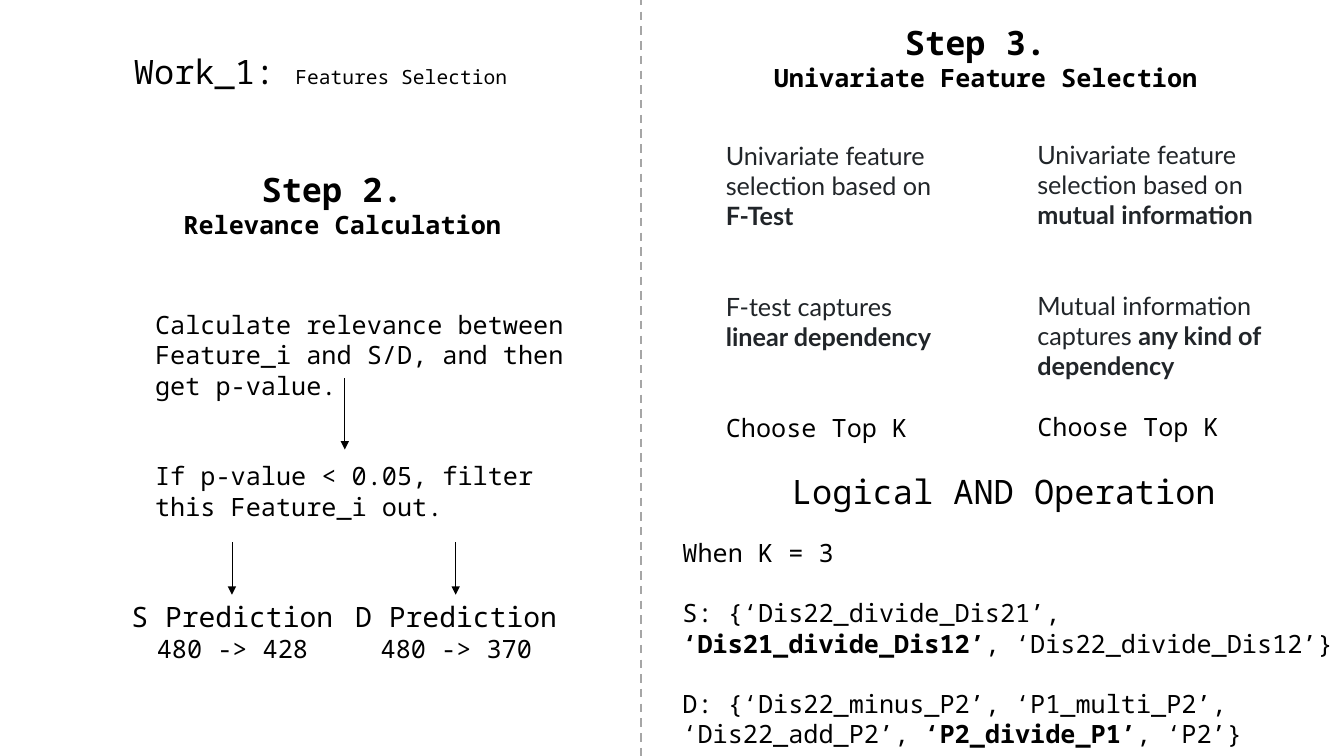
"""Build the feature selection slide with steps 2 and 3."""
from lxml import etree
from pptx import Presentation
from pptx.dml.color import RGBColor
from pptx.enum.dml import MSO_LINE
from pptx.enum.shapes import MSO_CONNECTOR
from pptx.enum.text import MSO_ANCHOR, PP_ALIGN
from pptx.oxml.ns import qn
from pptx.util import Inches, Pt

LEFT, CENTER = PP_ALIGN.LEFT, PP_ALIGN.CENTER
TOP = MSO_ANCHOR.TOP
STRAIGHT = MSO_CONNECTOR.STRAIGHT
DASH = MSO_LINE.DASH


def rgb(value):
    return RGBColor.from_string(value)


class Deck:
    MONO, SANS = "Noto Sans Mono", "Lato"
    BLACK, INK, GREY = "000000", "212529", "A6A6A6"
    BODY, TITLE = 18, 24
    LEADING = 1.2

    def __init__(self, prs):
        self.slide = prs.slides.add_slide(prs.slide_layouts[6])

    def box(self, x, y, w, h):
        s = self.slide.shapes.add_textbox(Inches(x), Inches(y), Inches(w), Inches(h))
        tf = s.text_frame
        tf.word_wrap = True
        tf.vertical_anchor = TOP
        return tf

    def para(self, tf, text, size=BODY, gap=0, font=MONO, color=BLACK, align=LEFT, bold=False):
        p = tf.paragraphs[0]
        if p.runs:
            p = tf.add_paragraph()
        p.alignment = align
        p.line_spacing = Pt(size * self.LEADING)
        p.space_before = Pt(gap * self.BODY * self.LEADING)
        p.font.name, p.font.size = font, Pt(size)
        p.font.color.rgb = rgb(color)
        p.font.bold = bold
        for i, part in enumerate(text.split("*")):
            if part:
                r = p.add_run()
                r.text = part
                if i % 2:
                    r.font.bold = True
        return p

    def heading(self, x, y, w, h, title, subtitle, size=TITLE, bold=True):
        tf = self.box(x, y, w, h)
        self.para(tf, title, size, align=CENTER, bold=bold)
        self.para(tf, subtitle, align=CENTER, bold=bold)

    def method(self, x, y, w, basis, capture, gap):
        tf = self.box(x, y, w, 3.13)
        self.para(tf, f"Univariate feature selection based on *{basis}*", font=self.SANS, color=self.INK)
        for i, line in enumerate(capture):
            self.para(tf, line, gap=0 if i else 2, font=self.SANS, color=self.INK)
        self.para(tf, "Choose Top K", gap=gap)

    def line(self, x, y1, y2, color=BLACK, width=0.5):
        c = self.slide.shapes.add_connector(STRAIGHT, Inches(x), Inches(y1), Inches(x), Inches(y2))
        c.line.color.rgb = rgb(color)
        c.line.width = Pt(width)
        etree.SubElement(c._element.spPr, qn("a:effectLst"))
        return c

    def arrow(self, x, y1, y2):
        c = self.line(x, y1, y2)
        etree.SubElement(c.line._get_or_add_ln(), qn("a:tailEnd"), type="triangle")

    def divider(self, x, y1, y2):
        self.line(x, y1, y2, self.GREY, 1.5).line.dash_style = DASH


def main():
    prs = Presentation()
    prs.slide_width, prs.slide_height = Inches(13.33), Inches(7.5)
    d = Deck(prs)

    p = d.para(d.box(1.23, 0.46, 6.49, 0.5), "Work_1: ", d.TITLE)
    r = p.add_run()
    r.text = "Features Selection"
    r.font.size = Pt(14)

    d.method(7.1, 1.34, 2.32, "F-Test", ["F-test captures", "*linear dependency*"], 2)
    d.method(10.19, 1.33, 2.57, "mutual information",
             ["Mutual information captures *any kind of dependency*"], 1)
    d.para(d.box(7.1, 4.62, 5.71, 0.5), "Logical AND Operation", d.TITLE, align=CENTER)

    tf = d.box(1.44, 3.02, 4.34, 2.52)
    d.para(tf, "Calculate relevance between Feature_i and S/D, and then get p-value.")
    d.para(tf, "If p-value < 0.05, filter this Feature_i out.", gap=2)

    tf = d.box(6.67, 5.28, 6.67, 2.22)
    d.para(tf, "When K = 3")
    d.para(tf, "S: {‘Dis22_divide_Dis21’, *‘Dis21_divide_Dis12’*, ‘Dis22_divide_Dis12’}", gap=1)
    d.para(tf, "D: {‘Dis22_minus_P2’, ‘P1_multi_P2’, ‘Dis22_add_P2’, *‘P2_divide_P1’*, ‘P2’}", gap=1)

    d.heading(1.63, 1.63, 3.53, 0.81, "Step 2. ", "Relevance Calculation")
    d.heading(6.92, 0.17, 5.71, 0.81, "Step 3. ", "Univariate Feature Selection")

    d.divider(6.36, -0.03, 7.5)
    d.arrow(3.42, 3.75, 4.46)
    for x, target, count in ((0.98, "S", 428), (3.2, "D", 370)):
        d.heading(x, 5.9, 2.65, 0.74, f"{target} Prediction", f"480 -> {count}", 20, False)
        d.arrow(x + 1.32, 5.38, 5.9)

    prs.save("out.pptx")


if __name__ == "__main__":
    main()
